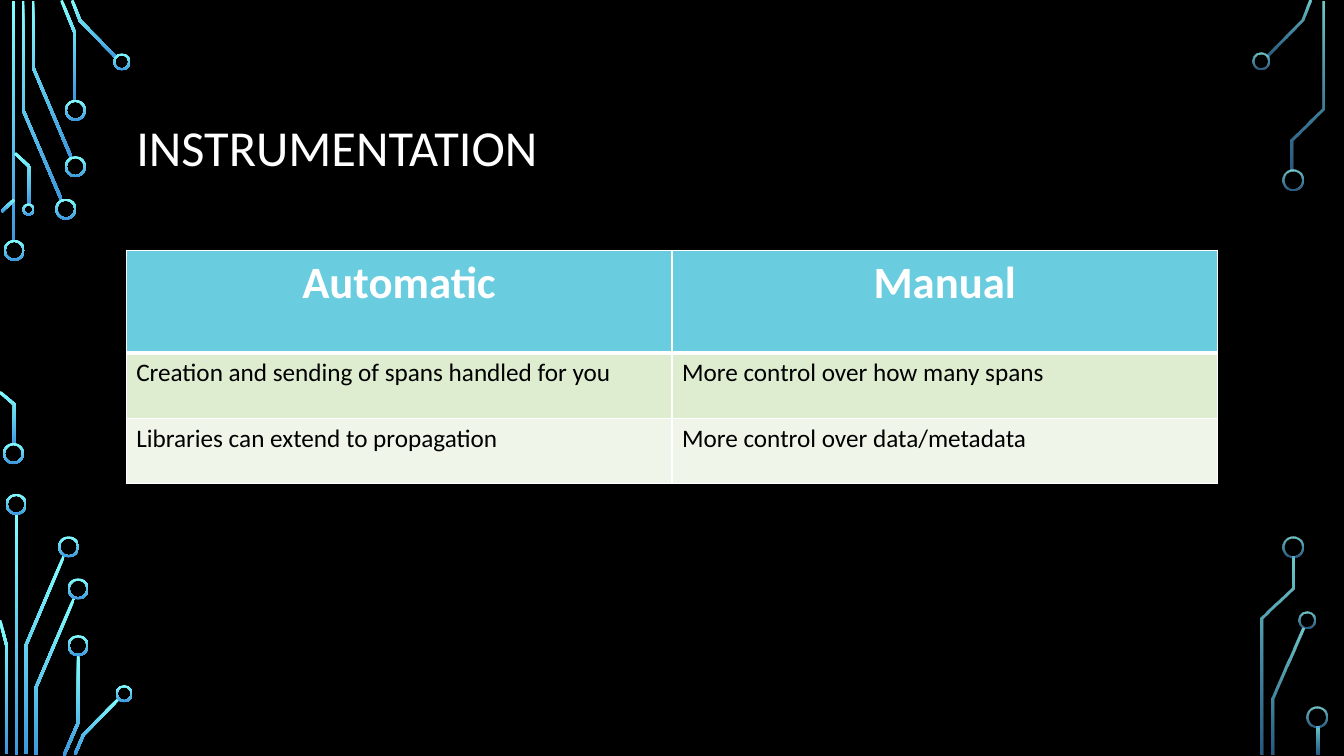
from lxml import etree
from pptx import Presentation
from pptx import util as u
from pptx.dml.color import RGBColor
from pptx.enum import shapes, text
from pptx.oxml import ns

BLACK = RGBColor(0x00, 0x00, 0x00)
WHITE = RGBColor(0xFF, 0xFF, 0xFF)
GLOW = RGBColor(0x82, 0xFF, 0xFF)
DEEP = RGBColor(0x3D, 0x97, 0xDE)
HEADER = RGBColor(0x69, 0xCC, 0xDF)
BANDS = [RGBColor(0xDE, 0xED, 0xD0), RGBColor(0xEF, 0xF6, 0xE9)]

BRIGHT, DIM = (100, 100), (80, 60)  # opacity at the top and bottom, percent
LARGE, MEDIUM, SMALL = 0.53, 0.43, 0.31  # ring diameters, cm

# Circuit traces as centre lines, in cm
LEFT_TRACES = [
    [(0.34, 0.03), (0.34, 6.1)],
    [(0.58, 0.03), (0.58, 2.77), (1.55, 5.04)],
    [(0.83, 0.03), (0.83, 1.69), (1.8, 3.98)],
    [(1.55, 0.01), (1.89, 0.84), (1.89, 2.54)],
    [(1.82, 0.01), (2.02, 0.52), (2.93, 1.45)],
    [(0.04, 5.33), (0.36, 5.03)],
    [(0.38, 3.86), (0.74, 4.2), (0.74, 5.16)],
    [(0, 9.88), (0.36, 10.19), (0.36, 11.2)],
    [(0.42, 12.95), (0.42, 19.02)],
    [(1.61, 14.01), (0.65, 16.27), (0.65, 19)],
    [(0, 15.63), (0.17, 16.28), (0.17, 19)],
    [(1.87, 15.07), (0.9, 17.34), (0.9, 19.02)],
    [(1.61, 19.04), (1.97, 18.21), (1.97, 16.51)],
    [(1.89, 19.01), (2.1, 18.52), (3, 17.6)],
]
RIGHT_TRACES = [
    [(31.93, 1.41), (32.83, 0.51), (33.03, 0.01)],
    [(32.56, 4.29), (32.56, 3.52), (33.34, 2.73), (33.34, 0.03)],
    [(32.07, 19.02), (32.07, 17.61), (32.84, 15.84)],
    [(31.81, 19.02), (31.81, 15.58), (32.6, 14.82), (32.6, 14.02)],
    [(33.21, 18.31), (33.21, 19.02)],
]
# Ring centres and diameters, in cm
LEFT_RINGS = [
    (0.36, 6.31, LARGE), (0.34, 11.43, LARGE), (1.66, 5.27, LARGE),
    (1.9, 4.2, LARGE), (1.9, 2.78, LARGE), (3.07, 1.56, MEDIUM),
    (0.72, 5.28, SMALL), (0.41, 12.71, LARGE), (1.73, 13.78, LARGE),
    (1.97, 14.84, LARGE), (1.97, 16.27, LARGE), (3.13, 17.48, MEDIUM),
]
RIGHT_RINGS = [
    (31.79, 1.54, MEDIUM), (32.58, 4.54, LARGE), (32.93, 15.63, MEDIUM),
    (32.59, 13.78, LARGE), (33.19, 18.08, LARGE),
]
ROWS = [
    ("Automatic", "Manual"),
    ("Creation and sending of spans handled for you",
     "More control over how many spans"),
    ("Libraries can extend to propagation", "More control over data/metadata"),
]


def outline(points, width):
    """Return the corners of a mitred band of the given width around a line."""
    line = [complex(x, y) for x, y in points]
    normals = [1j * (b - a) / abs(b - a) for a, b in zip(line, line[1:])]
    offsets = [(m + n) / (1 + (m * n.conjugate()).real) * width / 2
               for m, n in zip(normals[:1] + normals, normals + normals[-1:])]
    near = [p + o for p, o in zip(line, offsets)]
    far = [p - o for p, o in zip(line, offsets)]
    return [(u.Cm(p.real), u.Cm(p.imag)) for p in near + far[::-1]]


class Deck:
    font = "Calibri"
    trace_width = 0.07
    ring_wall = 0.05

    def __init__(self, prs):
        self.s = prs.slides.add_slide(prs.slide_layouts[5])
        fill = self.s.background.fill
        fill.solid()
        fill.fore_color.rgb = BLACK

    def style(self, p, size, color, bold=False):
        for r in p.runs:
            r.font.name = self.font
            r.font.size = u.Pt(size)
            r.font.bold = bold
            r.font.color.rgb = color

    def title(self, words, x, y, w, h):
        sp = self.s.shapes.title
        sp.left, sp.top, sp.width, sp.height = map(u.Cm, (x, y, w, h))
        tf = sp.text_frame
        tf.text = words
        tf.word_wrap = True
        tf.auto_size = text.MSO_AUTO_SIZE.NONE
        tf.vertical_anchor = text.MSO_ANCHOR.MIDDLE
        p = tf.paragraphs[0]
        p.alignment = text.PP_ALIGN.LEFT
        p.line_spacing = 0.9
        self.style(p, 36, WHITE)

    def glow(self, sp, opacity):
        """Fill a shape from light at the top to deep blue at the bottom."""
        sp.shadow.inherit = False
        sp.line.fill.background()
        sp.fill.gradient()
        sp.fill.gradient_angle = 270
        for stop, color in zip(sp.fill.gradient_stops, (GLOW, DEEP)):
            stop.color.rgb = color
        for clr, percent in zip(sp._element.spPr.iter(ns.qn("a:srgbClr")), opacity):
            etree.SubElement(clr, ns.qn("a:alpha"), val=str(percent * 1000))

    def trace(self, points, opacity):
        start, *rest = outline(points, self.trace_width)
        builder = self.s.shapes.build_freeform(*start)
        builder.add_line_segments(rest, close=True)
        self.glow(builder.convert_to_shape(), opacity)

    def ring(self, x, y, d, opacity):
        sp = self.s.shapes.add_shape(
            shapes.MSO_SHAPE.DONUT, u.Cm(x - d / 2), u.Cm(y - d / 2), u.Cm(d), u.Cm(d))
        sp.adjustments[0] = self.ring_wall / d
        self.glow(sp, opacity)

    def borders(self, cell, top, bottom):
        tcPr = cell._tc.get_or_add_tcPr()
        widths = {"lnL": 1, "lnR": 1, "lnT": top, "lnB": bottom}
        for i, (side, width) in enumerate(widths.items()):
            ln = etree.Element(ns.qn("a:" + side), w=str(u.Pt(width)))
            fill = etree.SubElement(ln, ns.qn("a:solidFill"))
            etree.SubElement(fill, ns.qn("a:srgbClr"), val=str(WHITE))
            tcPr.insert(i, ln)

    def table(self, rows, x, y, w, heights):
        frame = self.s.shapes.add_table(
            len(rows), len(rows[0]), u.Cm(x), u.Cm(y), u.Cm(w), u.Cm(sum(heights)))
        table = frame.table
        table.horz_banding = False
        for i, words in enumerate(rows):
            table.rows[i].height = u.Cm(heights[i])
            for j, word in enumerate(words):
                cell = table.cell(i, j)
                cell.text_frame.text = word
                p = cell.text_frame.paragraphs[0]
                cell.fill.solid()
                if i == 0:
                    cell.fill.fore_color.rgb = HEADER
                    p.alignment = text.PP_ALIGN.CENTER
                    self.style(p, 32, WHITE, bold=True)
                else:
                    cell.fill.fore_color.rgb = BANDS[(i - 1) % 2]
                    self.style(p, 18, BLACK)
                self.borders(cell, 3 if i == 1 else 1, 3 if i == 0 else 1)


def main():
    prs = Presentation()
    prs.slide_width, prs.slide_height = u.Cm(33.87), u.Cm(19.05)
    deck = Deck(prs)
    for traces, rings, opacity in ((LEFT_TRACES, LEFT_RINGS, BRIGHT),
                                   (RIGHT_TRACES, RIGHT_RINGS, DIM)):
        for points in traces:
            deck.trace(points, opacity)
        for ring in rings:
            deck.ring(*ring, opacity)
    deck.title("INSTRUMENTATION", 3.18, 1.73, 27.51, 4.11)
    deck.table(ROWS, 3.18, 6.32, 27.51, [2.57, 1.65, 1.65])
    prs.save("out.pptx")


if __name__ == "__main__":
    main()
